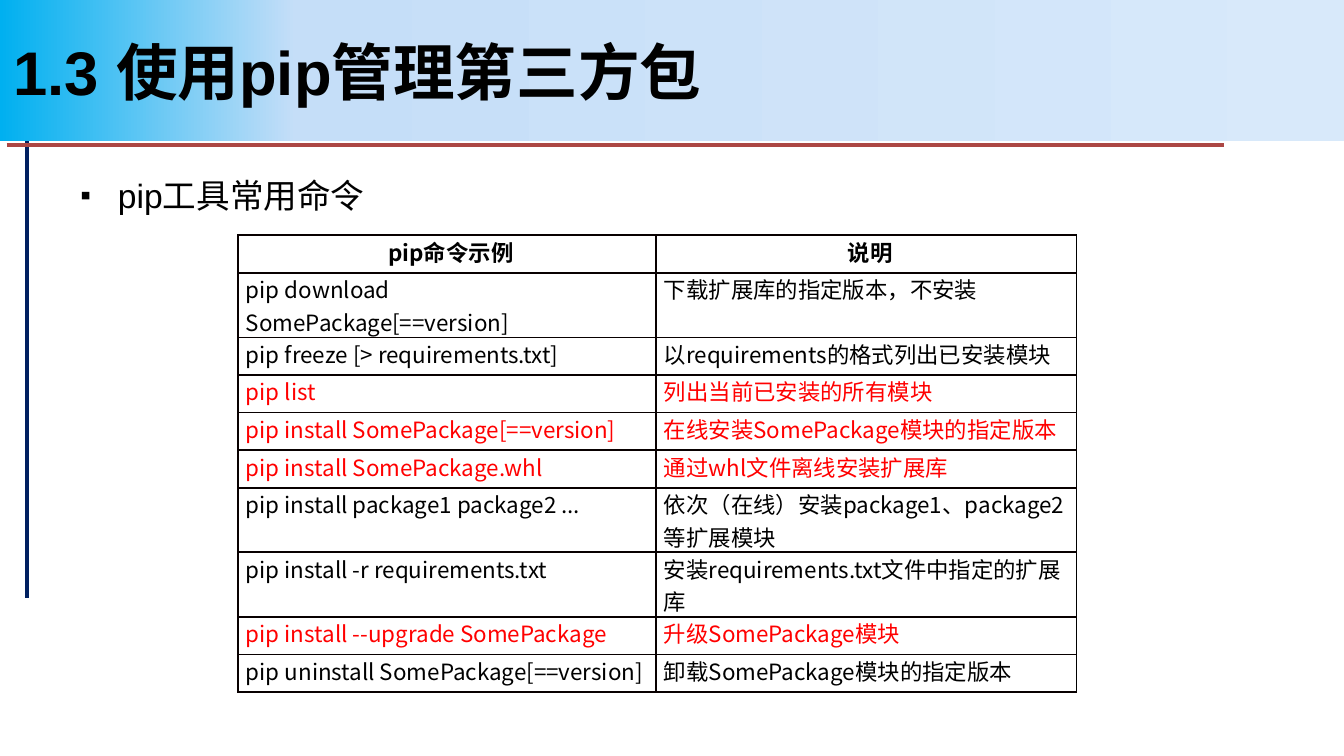
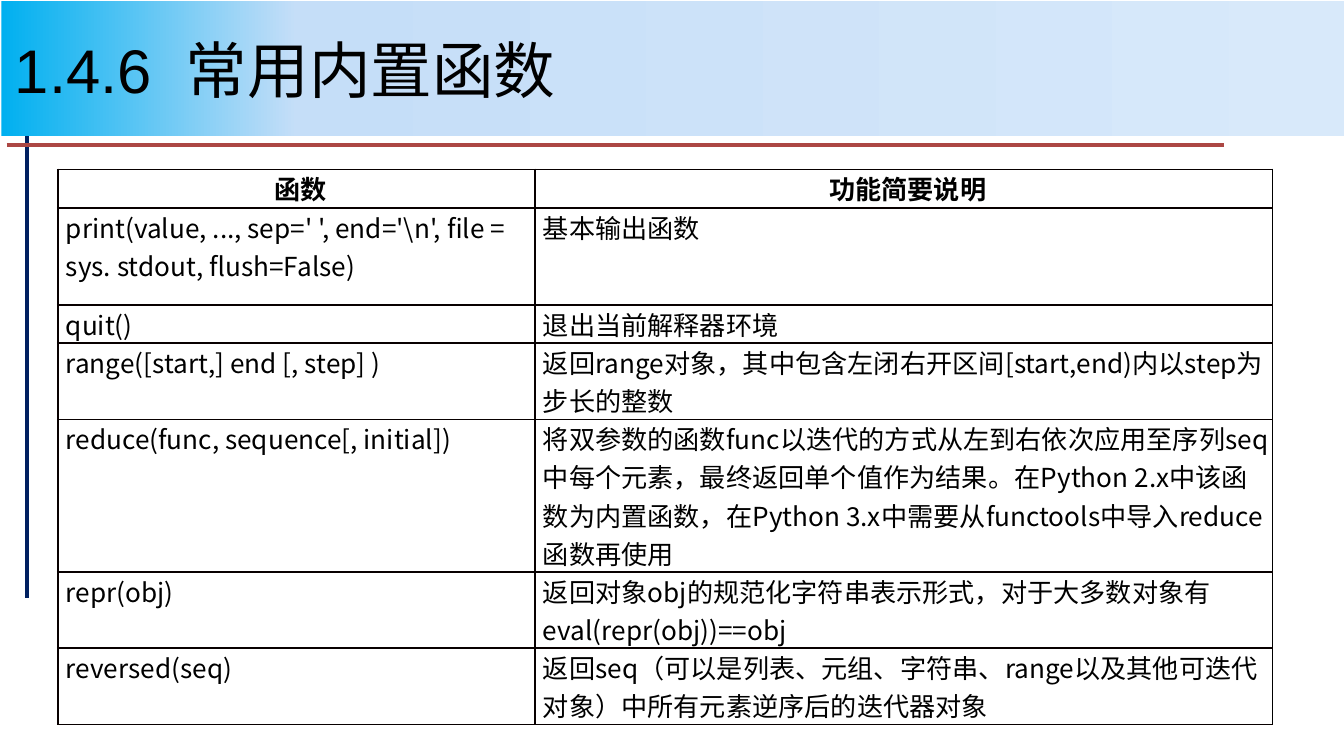
import copy

import lxml.etree
import pptx
import pptx.dml.color
import pptx.enum.shapes
import pptx.enum.text
import pptx.oxml.ns
import pptx.util

Inches = pptx.util.Inches
Pt = pptx.util.Pt
qn = pptx.oxml.ns.qn

COLORS = {
    "text": "000000",
    "highlight": "FF0000",
    "side_rule": "002060",
    "title_rule": "AC4744",
    "border": "080000",
    "outer_border": "000000",
}
BAND_STOPS = [(0, "F9FBFE"), (0, "00B0F0"), (0.22, "C5DEF8"), (1, "D8E9FA")]
TITLE_FONT = "Arial"
TABLE_FONT = "Noto Sans CJK SC"

# Each row: command, explanation, whether it is highlighted
PIP_ROWS = [
    ("pip命令示例", "说明", False),
    ("pip download SomePackage[==version]", "下载扩展库的指定版本，不安装", False),
    ("pip freeze [> requirements.txt]", "以requirements的格式列出已安装模块", False),
    ("pip list", "列出当前已安装的所有模块", True),
    ("pip install SomePackage[==version]", "在线安装SomePackage模块的指定版本", True),
    ("pip install SomePackage.whl", "通过whl文件离线安装扩展库", True),
    ("pip install package1 package2 ...",
     "依次（在线）安装package1、package2等扩展模块", False),
    ("pip install -r requirements.txt",
     "安装requirements.txt文件中指定的扩展库", False),
    ("pip install --upgrade SomePackage", "升级SomePackage模块", True),
    ("pip uninstall SomePackage[==version]", "卸载SomePackage模块的指定版本", False),
]
ONE_LINE, TWO_LINES = 0.28, 0.48
PIP_HEIGHTS = ([ONE_LINE, TWO_LINES] + [ONE_LINE] * 4
               + [TWO_LINES] * 2 + [ONE_LINE] * 2)

FUNCTION_ROWS = [
    ("函数", "功能简要说明", False),
    ("print(value, ..., sep=' ', end='\\n', file = sys. stdout, flush=False)",
     "基本输出函数", False),
    ("quit()", "退出当前解释器环境", False),
    ("range([start,] end [, step] )",
     "返回range对象，其中包含左闭右开区间[start,end)内以step为步长的整数", False),
    ("reduce(func, sequence[, initial])",
     "将双参数的函数func以迭代的方式从左到右依次应用至序列seq中每个元素，"
     "最终返回单个值作为结果。在Python 2.x中该函数为内置函数，"
     "在Python 3.x中需要从functools中导入reduce函数再使用", False),
    ("repr(obj)",
     "返回对象obj的规范化字符串表示形式，对于大多数对象有eval(repr(obj))==obj", False),
    ("reversed(seq)",
     "返回seq（可以是列表、元组、字符串、range以及其他可迭代对象）"
     "中所有元素逆序后的迭代器对象", False),
]
FUNCTION_HEIGHTS = [0.29, 0.72, 0.24, 0.47, 0.63, 0.47, 0.48]


def rgb(name):
    return pptx.dml.color.RGBColor.from_string(COLORS[name])


def format_runs(para, font_name, size, color="text", bold=False):
    for span in para.runs:
        span.font.name = font_name
        span.font.size = Pt(size)
        span.font.bold = bold
        span.font.color.rgb = rgb(color)
        # East Asian characters take the same typeface when it covers them
        if font_name == TABLE_FONT:
            latin = span.font._element.find(qn("a:latin"))
            east_asian = latin.makeelement(qn("a:ea"), {"typeface": font_name})
            latin.addnext(east_asian)


def add_layout_rule(page, layout, shape_id, start, end, color):
    """Draw a rule and place it on the layout that all pages share."""
    rule = page.shapes.add_connector(
        pptx.enum.shapes.MSO_CONNECTOR.STRAIGHT,
        *(Inches(value) for value in start + end))
    rule.line.color.rgb = rgb(color)
    rule.line.width = Pt(2.25)
    lxml.etree.SubElement(rule._element.spPr, qn("a:effectLst"))
    rule._element.nvCxnSpPr.cNvPr.id = shape_id
    layout.shapes._spTree.append(rule._element)


def set_title(page, text, left, top, height, bold):
    title = page.shapes.title
    title.left, title.top = Inches(left), Inches(top)
    title.width, title.height = Inches(10), Inches(height)

    # Gradient band
    title.fill.gradient()
    title.fill.gradient_angle = 0
    stop_list = title._element.spPr.find(".//" + qn("a:gsLst"))
    while len(stop_list) < len(BAND_STOPS):
        stop_list.append(copy.deepcopy(stop_list[0]))
    for stop, (position, color) in zip(title.fill.gradient_stops, BAND_STOPS):
        stop.position = position
        stop.color.rgb = pptx.dml.color.RGBColor.from_string(color)

    # Heading
    frame = title.text_frame
    frame.text = text
    frame.auto_size = pptx.enum.text.MSO_AUTO_SIZE.NONE
    frame.vertical_anchor = pptx.enum.text.MSO_ANCHOR.MIDDLE
    para = frame.paragraphs[0]
    para.alignment = pptx.enum.text.PP_ALIGN.LEFT
    format_runs(para, TITLE_FONT, 33, bold=bold)


def add_bullet(page, text, left, top, width, height):
    box = page.shapes.add_textbox(
        Inches(left), Inches(top), Inches(width), Inches(height))
    box.text_frame.word_wrap = True
    para = box.text_frame.paragraphs[0]
    para.text = text
    para.line_spacing = 0.8
    settings = para._p.get_or_add_pPr()
    settings.set("marL", str(Inches(0.28)))
    settings.set("indent", str(-Inches(0.28)))
    for tag, name, value in (("a:buSzPct", "val", "90000"),
                             ("a:buFont", "typeface", TITLE_FONT),
                             ("a:buChar", "char", "▪")):
        lxml.etree.SubElement(settings, qn(tag)).set(name, value)
    format_runs(para, TITLE_FONT, 18)


def set_borders(cell, is_last_column):
    settings = cell._tc.get_or_add_tcPr()
    for index, side in enumerate("LRTB"):
        outer = is_last_column and side == "R"
        line = settings.makeelement(
            qn("a:ln" + side), {"w": str(Pt(0.75 if outer else 1))})
        fill = lxml.etree.SubElement(line, qn("a:solidFill"))
        color = COLORS["outer_border" if outer else "border"]
        lxml.etree.SubElement(fill, qn("a:srgbClr")).set("val", color)
        settings.insert(index, line)


def add_grid(page, rows, left, top, widths, heights, size):
    table = page.shapes.add_table(
        len(rows), len(widths), Inches(left), Inches(top),
        Inches(sum(widths)), Inches(sum(heights))).table
    table.first_row = False
    table.horz_banding = False
    for column, width in zip(table.columns, widths):
        column.width = Inches(width)
    for row_index, (*texts, highlighted) in enumerate(rows):
        table.rows[row_index].height = Inches(heights[row_index])
        is_header = row_index == 0
        for column_index, text in enumerate(texts):
            cell = table.cell(row_index, column_index)
            cell.margin_left = Inches(0.06)
            cell.margin_top = cell.margin_right = cell.margin_bottom = 0
            cell.fill.background()
            set_borders(cell, column_index == len(widths) - 1)
            cell.text_frame.text = text
            para = cell.text_frame.paragraphs[0]
            if is_header:
                para.alignment = pptx.enum.text.PP_ALIGN.CENTER
            format_runs(para, TABLE_FONT, size,
                        "highlight" if highlighted else "text", is_header)


def main():
    deck = pptx.Presentation()
    # Widescreen, 16:9
    deck.slide_width, deck.slide_height = Inches(10), Inches(10 * 9 / 16)
    layout = deck.slide_layouts.get_by_name("Title Only")

    # pip commands
    page = deck.slides.add_slide(layout)
    add_layout_rule(page, layout, 20, (0.2, 0.81), (0.2, 4.45), "side_rule")
    add_layout_rule(page, layout, 21, (0.05, 1.08), (9.11, 1.08), "title_rule")
    set_title(page, "1.3 使用pip管理第三方包", 0, 0, 1.05, bold=True)
    add_bullet(page, "pip工具常用命令", 0.5, 1.31, 9, 3.71)
    add_grid(page, PIP_ROWS, 1.77, 1.75, [3.11, 3.13], PIP_HEIGHTS, 12)

    # Built-in functions
    page = deck.slides.add_slide(layout)
    set_title(page, "1.4.6  常用内置函数", 0.01, 0.01, 1, bold=False)
    add_grid(page, FUNCTION_ROWS, 0.43, 1.26, [3.55, 5.49], FUNCTION_HEIGHTS, 14)

    deck.save("out.pptx")


if __name__ == "__main__":
    main()
